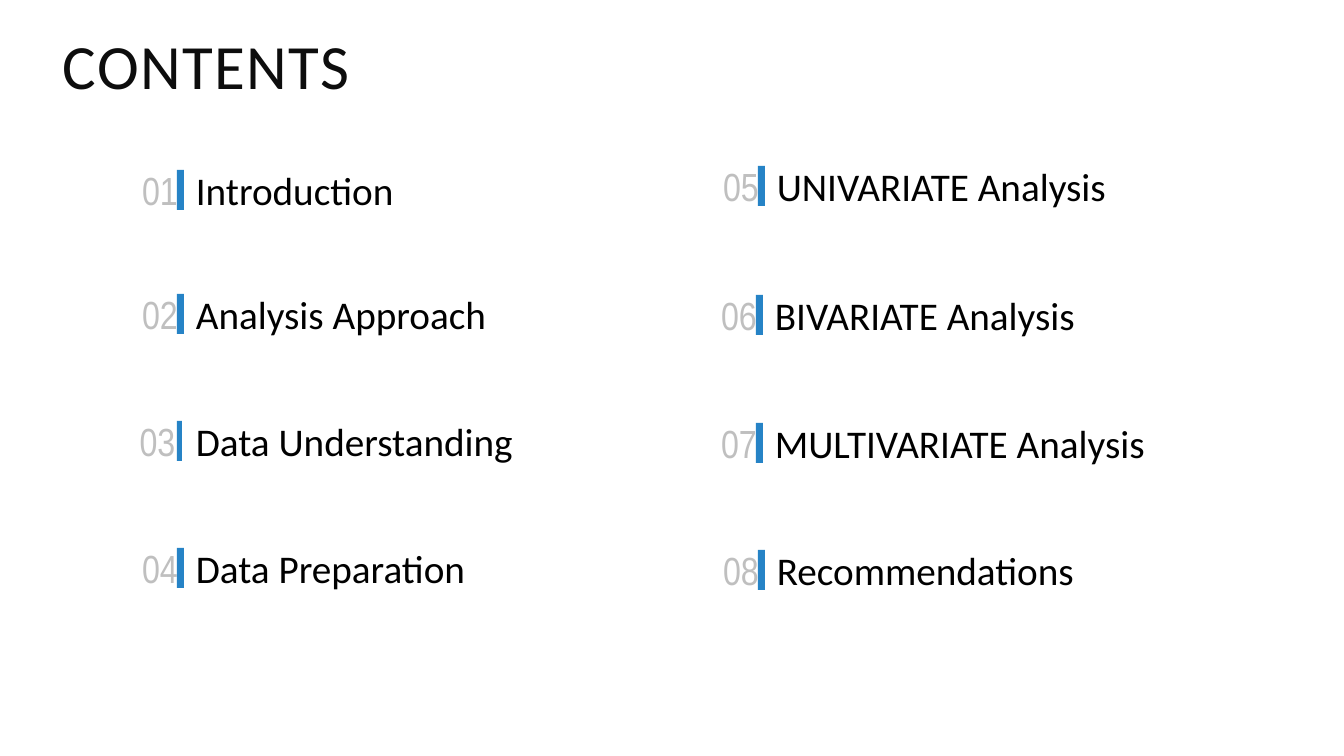
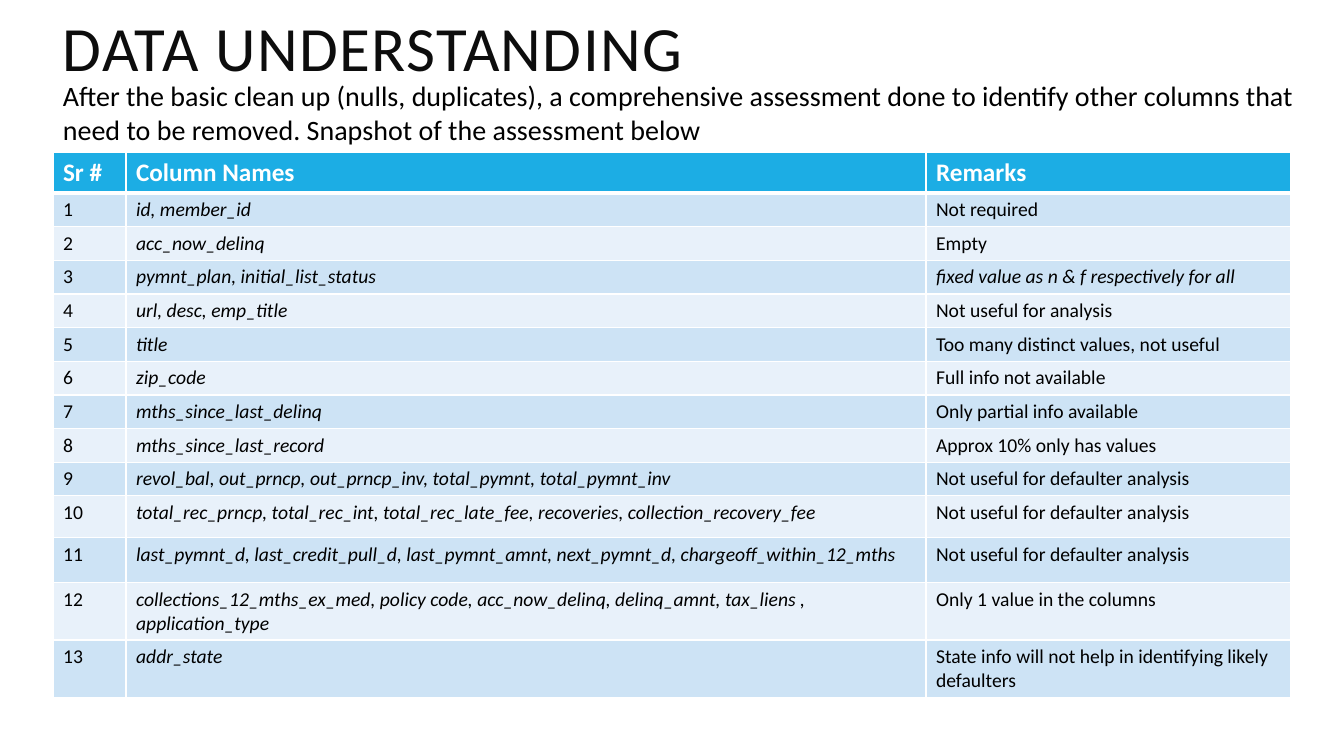
from dataclasses import dataclass
from typing import NamedTuple

import pptx
import pptx.dml.color
import pptx.enum.shapes
import pptx.enum.text
import pptx.oxml
import pptx.oxml.ns
import pptx.presentation
import pptx.shapes.autoshape
import pptx.slide
import pptx.table
import pptx.text.text
import pptx.util

RGBColor = pptx.dml.color.RGBColor
PP_ALIGN = pptx.enum.text.PP_ALIGN

SLIDE_WIDTH, SLIDE_HEIGHT = 1344, 756
EMU_PER_PX = 12192000 / SLIDE_WIDTH

WHITE = RGBColor(0xFF, 0xFF, 0xFF)
BLACK = RGBColor(0x00, 0x00, 0x00)
TITLE_INK = RGBColor(0x0D, 0x0D, 0x0D)
NUMBER_GREY = RGBColor(0xBF, 0xBF, 0xBF)
BAR_BLUE = RGBColor(0x26, 0x83, 0xC6)
HEADER_BLUE = RGBColor(0x1C, 0xAD, 0xE4)
BANDS = (RGBColor(0xCD, 0xE3, 0xF5), RGBColor(0xE8, 0xF1, 0xFA))

BODY_FONT = "Calibri"
NUMBER_FONT = "Arial Narrow"
MARGIN = 53
ENTRY_HEIGHT = 40


@dataclass(frozen=True)
class TextStyle:
    size: int
    color: RGBColor = BLACK
    font: str = BODY_FONT
    bold: bool = False
    italic: bool = False
    tracking: int = 0  # hundredths of a point


TITLE = TextStyle(45, TITLE_INK, tracking=100)
ENTRY_NUMBER = TextStyle(28, NUMBER_GREY, NUMBER_FONT)
ENTRY_LABEL = TextStyle(28)
LEAD = TextStyle(20)
TABLE_HEAD = TextStyle(18, WHITE, bold=True)
TABLE_BODY = TextStyle(14)
TABLE_ITALIC = TextStyle(14, italic=True)


@dataclass(frozen=True)
class Entry:
    """One contents line, placed by the left top corner of its bar."""
    label: str
    left: int
    top: int
    bar_width: int = 7
    number_offset: int = -67
    number_width: int = 100


class Assessment(NamedTuple):
    columns: str
    remark: str
    height: int = 32
    remark_style: TextStyle = TABLE_BODY


ENTRIES = (
    Entry("Introduction", 177, 170),
    Entry("Analysis Approach", 177, 294),
    Entry("Data Understanding", 177, 421, bar_width=5, number_offset=-44, number_width=49),
    Entry("Data Preparation", 177, 548),
    Entry("UNIVARIATE Analysis", 758, 166),
    Entry("BIVARIATE Analysis", 756, 295),
    Entry("MULTIVARIATE Analysis", 756, 423),
    Entry("Recommendations", 758, 550),
)

LEAD_TEXT = (
    "After the basic clean up (nulls, duplicates), a comprehensive assessment done to "
    "identify other columns that need to be removed. Snapshot of the assessment below"
)
HEADINGS = ("Sr #", "Column Names", "Remarks")
COLUMN_WIDTHS = (73, 800, 365)
HEADER_HEIGHT = 41
NOT_FOR_DEFAULTERS = "Not useful for defaulter analysis"
ASSESSMENTS = (
    Assessment("id, member_id", "Not required"),
    Assessment("acc_now_delinq", "Empty"),
    Assessment("pymnt_plan, initial_list_status", "fixed value as n & f respectively for all",
               remark_style=TABLE_ITALIC),
    Assessment("url, desc, emp_title", "Not useful for analysis"),
    Assessment("title", "Too many distinct values, not useful"),
    Assessment("zip_code", "Full info not available"),
    Assessment("mths_since_last_delinq", "Only partial info available"),
    Assessment("mths_since_last_record", "Approx 10% only has values"),
    Assessment("revol_bal, out_prncp, out_prncp_inv, total_pymnt, total_pymnt_inv",
               NOT_FOR_DEFAULTERS),
    Assessment("total_rec_prncp, total_rec_int, total_rec_late_fee, recoveries, "
               "collection_recovery_fee", NOT_FOR_DEFAULTERS, 42),
    Assessment("last_pymnt_d, last_credit_pull_d, last_pymnt_amnt, next_pymnt_d, "
               "chargeoff_within_12_mths", NOT_FOR_DEFAULTERS, 45),
    Assessment("collections_12_mths_ex_med, policy code, acc_now_delinq, delinq_amnt, "
               "tax_liens , application_type", "Only 1 value in the columns", 43),
    Assessment("addr_state", "State info will not help in identifying likely defaulters", 55),
)


def px(length: int) -> pptx.util.Emu:
    return pptx.util.Emu(round(length * EMU_PER_PX))


def add_run(paragraph: pptx.text.text._Paragraph, text: str, style: TextStyle) -> None:
    run = paragraph.add_run()
    run.text = text
    run.font.name = style.font
    run.font.size = pptx.util.Pt(style.size)
    run.font.bold = style.bold
    run.font.italic = style.italic
    run.font.color.rgb = style.color
    if style.tracking:
        run._r.get_or_add_rPr().set("spc", str(style.tracking))


def add_text(slide: pptx.slide.Slide, left: int, top: int, width: int, height: int,
             text: str, style: TextStyle, wrap: bool = True) -> pptx.text.text.TextFrame:
    frame = slide.shapes.add_textbox(px(left), px(top), px(width), px(height)).text_frame
    frame.word_wrap = wrap
    add_run(frame.paragraphs[0], text, style)
    return frame


def add_titled_slide(deck: pptx.presentation.Presentation, title: str,
                     top: int) -> pptx.slide.Slide:
    slide = deck.slides.add_slide(deck.slide_layouts[6])
    heading = add_text(slide, MARGIN, top, 1071, 110, title, TITLE)
    heading.paragraphs[0].line_spacing = 0.8
    return slide


def add_entry(slide: pptx.slide.Slide, position: int, entry: Entry) -> None:
    number = add_text(slide, entry.left + entry.number_offset, entry.top, entry.number_width,
                      ENTRY_HEIGHT, f"{position:02d}", ENTRY_NUMBER, wrap=False)
    number.paragraphs[0].alignment = PP_ALIGN.CENTER
    number.margin_left = number.margin_right = 0

    bar = slide.shapes.add_shape(pptx.enum.shapes.MSO_SHAPE.RECTANGLE, px(entry.left),
                                 px(entry.top), px(entry.bar_width), px(ENTRY_HEIGHT))
    bar.shadow.inherit = False
    bar.fill.solid()
    bar.fill.fore_color.rgb = BAR_BLUE
    bar.line.fill.background()

    label = add_text(slide, entry.left + 9, entry.top, 471, ENTRY_HEIGHT,
                     entry.label, ENTRY_LABEL, wrap=False)
    label.margin_right = px(5)
    for frame in (number, label):
        frame.vertical_anchor = pptx.enum.text.MSO_ANCHOR.MIDDLE


def set_borders(cell: pptx.table._Cell, top: int, bottom: int) -> None:
    """Draw white borders, 1 pt at the sides and the given points above and below."""
    properties = cell._tc.get_or_add_tcPr()
    for side, points in (("L", 1), ("R", 1), ("T", top), ("B", bottom)):
        properties.append(pptx.oxml.parse_xml(
            f'<a:ln{side} {pptx.oxml.ns.nsdecls("a")} w="{pptx.util.Pt(points)}">'
            f'<a:solidFill><a:srgbClr val="{WHITE}"/></a:solidFill></a:ln{side}>'))


def fill_row(table: pptx.table.Table, index: int, height: int, fill: RGBColor,
             texts: tuple[str, ...], styles: tuple[TextStyle, ...]) -> None:
    table.rows[index].height = px(height)
    for cell, text, style in zip(table.rows[index].cells, texts, styles):
        set_borders(cell, top=3 if index == 1 else 1, bottom=3 if index == 0 else 1)
        cell.fill.solid()
        cell.fill.fore_color.rgb = fill
        add_run(cell.text_frame.paragraphs[0], text, style)


def add_assessment_table(slide: pptx.slide.Slide) -> None:
    height = HEADER_HEIGHT + sum(item.height for item in ASSESSMENTS)
    table = slide.shapes.add_table(len(ASSESSMENTS) + 1, len(HEADINGS), px(MARGIN), px(152),
                                   px(sum(COLUMN_WIDTHS)), px(height)).table
    for column, width in zip(table.columns, COLUMN_WIDTHS):
        column.width = px(width)
    fill_row(table, 0, HEADER_HEIGHT, HEADER_BLUE, HEADINGS, (TABLE_HEAD,) * len(HEADINGS))
    for index, item in enumerate(ASSESSMENTS, start=1):
        fill_row(table, index, item.height, BANDS[(index - 1) % 2],
                 (str(index), item.columns, item.remark),
                 (TABLE_BODY, TABLE_ITALIC, item.remark_style))


def main() -> None:
    deck = pptx.Presentation()
    deck.slide_width, deck.slide_height = px(SLIDE_WIDTH), px(SLIDE_HEIGHT)

    contents = add_titled_slide(deck, "CONTENTS", 36)
    for position, entry in enumerate(ENTRIES, start=1):
        add_entry(contents, position, entry)

    understanding = add_titled_slide(deck, "DATA UNDERSTANDING", 18)
    lead = add_text(understanding, MARGIN, 74, 1257, 78, LEAD_TEXT, LEAD)
    lead.auto_size = pptx.enum.text.MSO_AUTO_SIZE.SHAPE_TO_FIT_TEXT
    add_assessment_table(understanding)

    deck.save("out.pptx")


if __name__ == "__main__":
    main()
